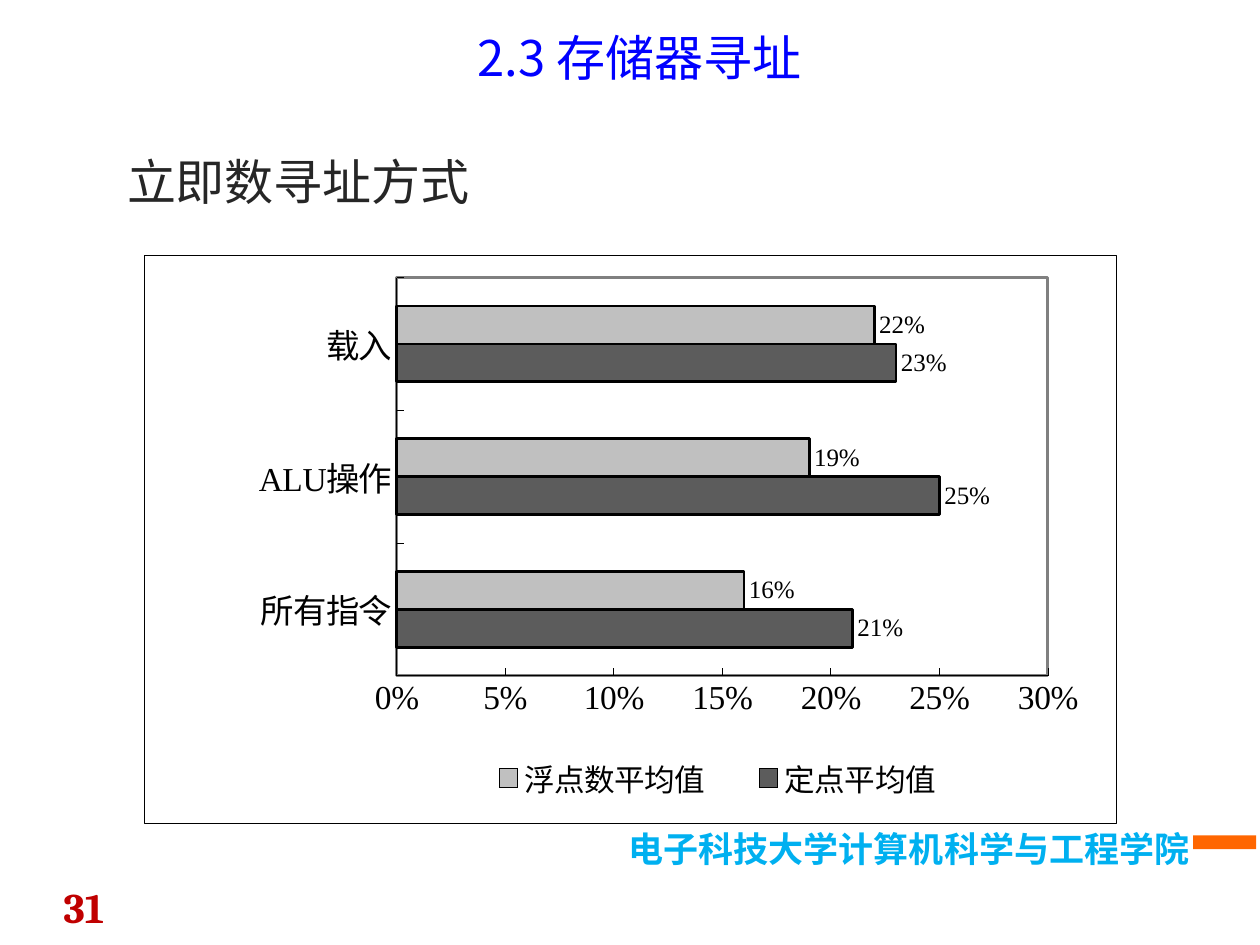
from lxml import etree
from pptx import Presentation
from pptx.chart.data import CategoryChartData
from pptx.dml.color import RGBColor
from pptx.enum.chart import XL_CHART_TYPE as ChartType
from pptx.enum.chart import XL_LABEL_POSITION as LabelPosition
from pptx.enum.chart import XL_LEGEND_POSITION as LegendPosition
from pptx.enum.chart import XL_TICK_MARK as TickMark
from pptx.enum.shapes import MSO_SHAPE as Preset
from pptx.enum.text import MSO_ANCHOR as Anchor
from pptx.enum.text import PP_ALIGN as Align
from pptx.oxml import parse_xml
from pptx.oxml.ns import nsdecls, qn
from pptx.util import Inches, Pt

CJK = "Noto Sans CJK SC"
LATIN = "Times New Roman"
TEXTS = [
    dict(text="31", box=(0.12, 6.95, 1.09, 0.44), size=24, font="Cambria",
         color="C00000", bold=True, align=Align.CENTER, wrap=False),
    dict(text="电子科技大学计算机科学与工程学院", box=(0.82, 6.52, 8.72, 0.44), size=20,
         font=CJK, color="00B0F0", bold=True, align=Align.RIGHT, wrap=False),
    dict(text="2.3 存储器寻址", box=(0.48, 0.08, 9.19, 0.75), size=28, font=CJK,
         color="0000FF", align=Align.CENTER, anchor=Anchor.MIDDLE),
    dict(text="立即数寻址方式", box=(0.91, 1.15, 3.39, 0.73), size=28, font=CJK,
         color="262626"),
]
ACCENT_BAR = (9.47, 6.63, 0.5, 0.11)
CHART_BOX = (1.14, 2.02, 7.72, 4.52)
PLOT_LAYOUT = (0.26, 0.04, 0.67, 0.7)
LEGEND_LAYOUT = (0.32, 0.88, 0.54, 0.08)
CATEGORIES = ["所有指令", "ALU操作", "载入"]
SERIES = [
    ("定点平均值", (0.21, 0.25, 0.23), "5C5C5C"),
    ("浮点数平均值", (0.16, 0.19, 0.22), "C0C0C0"),
]


def rgb(value):
    """Turn a hex string into a colour."""
    return RGBColor.from_string(value)


def inches(box):
    """Turn a box in inches into lengths."""
    return [Inches(length) for length in box]


def style_font(font, size, color="000000", name=LATIN, bold=False):
    """Set the size, colour, typeface and weight of a font."""
    font.size, font.name, font.bold = Pt(size), name, bold
    font.color.rgb = rgb(color)


def style_line(line, width, color="000000"):
    """Set the colour and width of a line."""
    line.color.rgb = rgb(color)
    line.width = Pt(width)


def add_text(slide, text, box, size, font, color, bold=False,
             align=Align.LEFT, anchor=Anchor.TOP, wrap=True):
    """Add one line of styled text."""
    frame = slide.shapes.add_textbox(*inches(box)).text_frame
    frame.word_wrap, frame.vertical_anchor = wrap, anchor
    paragraph = frame.paragraphs[0]
    paragraph.alignment = align
    run = paragraph.add_run()
    run.text = text
    style_font(run.font, size, color, font, bold)
    east_asian = etree.SubElement(run.font._element, qn("a:ea"))
    east_asian.set("typeface", font)


def layout_xml(box, inner=False):
    """Build a manual chart layout from fractions of the chart."""
    target = '<c:layoutTarget val="inner"/>' if inner else ""
    modes = '<c:xMode val="edge"/><c:yMode val="edge"/>'
    sizes = "".join(f'<c:{key} val="{part}"/>' for key, part in zip("xywh", box))
    return parse_xml(f"<c:layout {nsdecls('c')}><c:manualLayout>{target}{modes}{sizes}"
                     "</c:manualLayout></c:layout>")


def area_xml(border, width):
    """Build a white area with a border width in EMU."""
    def paint(color):
        return f'<a:solidFill><a:srgbClr val="{color}"/></a:solidFill>'
    return parse_xml(f"<c:spPr {nsdecls('c', 'a')}>{paint('FFFFFF')}"
                     f'<a:ln w="{width}">{paint(border)}</a:ln></c:spPr>')


def add_chart(slide):
    """Add the bar chart of immediate operand use."""
    data = CategoryChartData(number_format="0%")
    data.categories = CATEGORIES
    for name, values, _ in SERIES:
        data.add_series(name, values)
    chart = slide.shapes.add_chart(
        ChartType.BAR_CLUSTERED, *inches(CHART_BOX), data).chart
    style_font(chart.font, 14.3)
    chart.has_title = False

    for axis in (chart.category_axis, chart.value_axis):
        axis.has_major_gridlines = False
        axis.major_tick_mark, axis.minor_tick_mark = TickMark.INSIDE, TickMark.NONE
        style_font(axis.tick_labels.font, 19.1)
        style_line(axis.format.line, 0.4)
    scale = chart.value_axis
    scale.minimum_scale, scale.maximum_scale, scale.major_unit = 0, 0.3, 0.05
    scale.tick_labels.number_format = "0%"
    scale.tick_labels.number_format_is_linked = False

    plot = chart.plots[0]
    plot.gap_width, plot.overlap, plot.vary_by_categories = 150, 0, False
    for series, (_, _, color) in zip(plot.series, SERIES):
        series.format.fill.solid()
        series.format.fill.fore_color.rgb = rgb(color)
        style_line(series.format.line, 1.59)
        labels = series.data_labels
        labels.show_value, labels.position = True, LabelPosition.OUTSIDE_END
        labels.number_format, labels.number_format_is_linked = "0%", False
        style_font(labels.font, 14.3)

    chart.has_legend = True
    legend = chart.legend
    legend.position, legend.include_in_layout = LegendPosition.BOTTOM, False
    style_font(legend.font, 17.5)

    root = chart._chartSpace
    plot_area = root.find(".//" + qn("c:plotArea"))
    for owner, layout in ((plot_area, layout_xml(PLOT_LAYOUT, True)),
                          (legend._element, layout_xml(LEGEND_LAYOUT))):
        for old in owner.findall(qn("c:layout")):
            owner.remove(old)
        owner.insert(0 if owner is plot_area else 1, layout)
    plot_area.append(area_xml("808080", 20200))
    root.find(qn("c:chart")).addnext(area_xml("000000", 5080))


def main():
    """Build and save the slide."""
    deck = Presentation()
    deck.slide_width, deck.slide_height = Inches(10), Inches(7.5)
    slide = deck.slides.add_slide(deck.slide_layouts[6])
    accent = slide.shapes.add_shape(Preset.RECTANGLE, *inches(ACCENT_BAR))
    accent.shadow.inherit = False
    accent.fill.solid()
    accent.fill.fore_color.rgb = rgb("FF6600")
    accent.line.fill.background()
    for item in TEXTS:
        add_text(slide, **item)
    add_chart(slide)
    deck.save("out.pptx")


if __name__ == "__main__":
    main()
